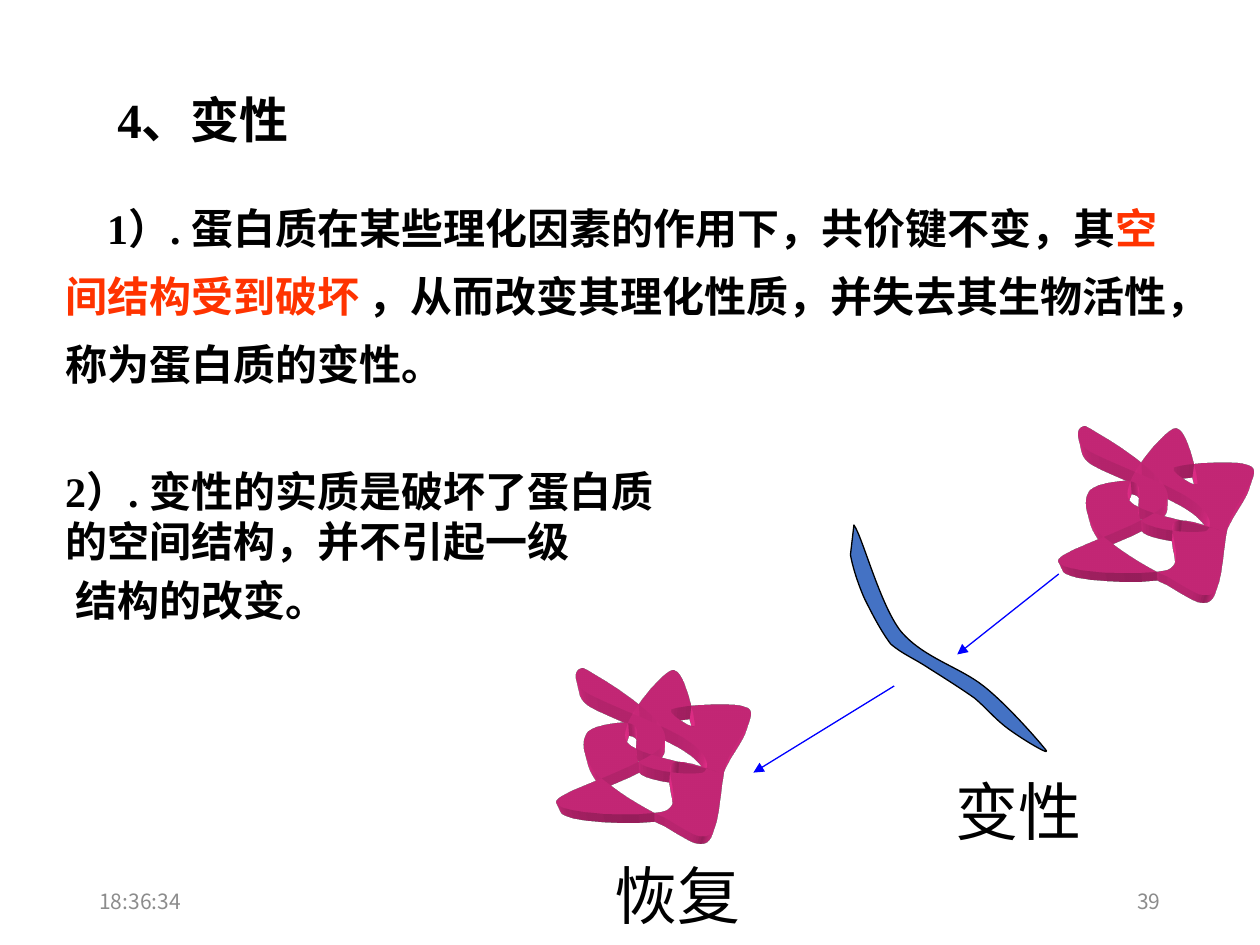
"""Build the slide on protein denaturation with two folded proteins and one unfolded strand."""
from lxml.etree import SubElement
from pptx import Presentation
from pptx.dml.color import RGBColor as RGB
from pptx.enum.shapes import MSO_CONNECTOR as CONN
from pptx.enum.text import MSO_ANCHOR as ANCHOR, MSO_AUTO_SIZE as FIT, PP_ALIGN as ALIGN
from pptx.oxml.ns import qn
from pptx.util import Pt

COLORS = {"text": "000000", "stress": "FF3300", "footer": "8C8C8C",
          "protein": "FF3399", "strand": "4472C4", "arrow": "0000FF"}
SERIF, SANS = "Times New Roman", "Noto Sans CJK SC"

PROTEIN = [(18, 5),
           (25, 9, 65, 32, 62, 45), (59, 58, 0, 73, 0, 80), (0, 87, 50, 89, 62, 85),
           (73, 81, 61, 62, 66, 58), (71, 54, 97, 65, 92, 63), (88, 60, 44, 54, 40, 45),
           (35, 35, 60, 6, 66, 5), (73, 3, 79, 32, 79, 36), (79, 40, 61, 28, 66, 27),
           (71, 25, 105, 22, 110, 27), (115, 32, 101, 46, 97, 58), (93, 70, 94, 93, 88, 98),
           (82, 103, 73, 95, 62, 89), (50, 84, 30, 71, 22, 63), (15, 54, 14, 45, 18, 40),
           (22, 36, 39, 33, 44, 36), (49, 39, 42, 53, 48, 58), (55, 63, 79, 65, 84, 63),
           (88, 60, 86, 52, 75, 45), (64, 37, 28, 24, 18, 18), (7, 12, 11, 0, 18, 5)]
STRAND = [(0, 17),
          (1, 23, 4, 33, 8, 42), (12, 50, 17, 60, 23, 68), (30, 74, 36, 76, 45, 82),
          (53, 87, 64, 94, 71, 99), (78, 105, 81, 109, 87, 114), (94, 120, 114, 132, 112, 129),
          (109, 125, 90, 103, 76, 92), (62, 81, 42, 76, 29, 61), (17, 46, 7, 7, 2, 0)]


def color(name):
    """Return the named colour."""
    return RGB.from_string(COLORS[name])


def add_xml(parent, tag, **attributes):
    """Append a drawing element with attributes."""
    return SubElement(parent, qn(f"a:{tag}"), attributes)


def format_run(r, size, font, fill="text", bold=False):
    """Set size, typefaces, colour and weight of a run."""
    r.font.size, r.font.name, r.font.bold = Pt(size), font, bold
    r.font.color.rgb = color(fill)
    add_xml(r.font._element, "ea", typeface=SANS)


def setup_frame(sp, box, anchor, wrap=True):
    """Place a text shape and set up its frame."""
    sp.left, sp.top, sp.width, sp.height = map(Pt, box)
    tf = sp.text_frame
    tf.auto_size, tf.word_wrap, tf.vertical_anchor = FIT.NONE, wrap, anchor
    return tf


def add_title(s, text, box):
    """Fill the title placeholder."""
    tf = setup_frame(s.shapes.title, box, ANCHOR.TOP)
    tf.text = text
    p = tf.paragraphs[0]
    p.alignment, p.line_spacing = ALIGN.LEFT, Pt(32.2)
    format_run(p.runs[0], 28, SERIF, bold=True)


def fill_body(sp, box, paragraphs, spacing):
    """Fill a body placeholder with (indent, space before, runs) paragraphs."""
    tf = setup_frame(sp, box, ANCHOR.MIDDLE)
    for i, (indent, before, runs) in enumerate(paragraphs):
        p = tf.add_paragraph() if i else tf.paragraphs[0]
        p.line_spacing, p.space_before = Pt(spacing), Pt(before)
        pPr = p._p.get_or_add_pPr()
        pPr.set("marL", "0")
        pPr.set("indent", str(Pt(indent)))
        add_xml(pPr, "buNone")
        for text, font, fill in runs:
            r = p.add_run()
            r.text = text
            format_run(r, 24, font, fill, True)


def add_label(s, text, box, size, fill="text", align=ALIGN.CENTER, anchor=ANCHOR.TOP, wrap=False):
    """Add a one-line text box."""
    tf = setup_frame(s.shapes.add_textbox(0, 0, 0, 0), box, anchor, wrap)
    tf.text = text
    tf.paragraphs[0].alignment = align
    format_run(tf.paragraphs[0].runs[0], size, SANS, fill)


def add_outline(s, outline, x, y, fill):
    """Draw a closed outline of cubic curves at a position."""
    builder = s.shapes.build_freeform(*map(Pt, outline[0]))
    builder.add_line_segments([(Pt(c[i]), Pt(c[i + 1])) for c in outline[1:] for i in (0, 2, 4)])
    sp = builder.convert_to_shape(Pt(x), Pt(y))
    lines = list(sp._element.iter(qn("a:lnTo")))
    for i in range(0, len(lines), 3):
        curve = add_xml(lines[i].getparent(), "cubicBezTo")
        for line in lines[i:i + 3]:
            curve.append(line[0])
            line.getparent().remove(line)
    add_xml(curve.getparent(), "close")
    sp.shadow.inherit = False
    sp.fill.solid()
    sp.fill.fore_color.rgb = color(fill)
    return sp


def add_protein(s, x, y):
    """Draw a folded protein with depth."""
    sp = add_outline(s, PROTEIN, x, y, "protein")
    sp.line.fill.background()
    spPr = sp._element.spPr
    scene = add_xml(spPr, "scene3d")
    add_xml(scene, "camera", prst="legacyPerspectiveBottom")
    add_xml(scene, "lightRig", rig="legacyFlat3", dir="b")
    body = add_xml(spPr, "sp3d", extrusionH="430200", prstMaterial="legacyMatte")
    add_xml(add_xml(body, "extrusionClr"), "srgbClr", val=COLORS["protein"])


def add_strand(s, x, y):
    """Draw the unfolded strand."""
    sp = add_outline(s, STRAND, x, y, "strand")
    sp.line.color.rgb, sp.line.width = color("text"), Pt(0.75)


def add_arrow(s, *ends):
    """Draw an arrow between two points."""
    c = s.shapes.add_connector(CONN.STRAIGHT, *map(Pt, ends))
    c.line.color.rgb, c.line.width = color("arrow"), Pt(0.75)
    add_xml(c.line._get_or_add_ln(), "tailEnd", type="triangle")
    add_xml(c._element.spPr, "effectLst")


def main():
    """Build and save the slide."""
    prs = Presentation()
    prs.slide_width, prs.slide_height = Pt(720), Pt(540)
    s = prs.slides.add_slide(prs.slide_layouts[3])
    add_label(s, "18:36:34", (49.7, 500.5, 162, 29), 12, "footer", ALIGN.LEFT, ANCHOR.MIDDLE, True)
    add_label(s, "39", (508.3, 500.5, 162, 29), 12, "footer", ALIGN.RIGHT, ANCHOR.MIDDLE, True)
    add_title(s, "4、变性", (59.8, 49, 130, 41))
    fill_body(s.placeholders[1], (30, 102, 648, 124), [
        (24, 0, [("1）. 蛋白质在某些理化因素的作用下，", SERIF, "text"),
                 ("共价键不变，", SANS, "text"),
                 ("其", SERIF, "text"),
                 ("空间结构受到破坏", SERIF, "stress"),
                 (" ，从而改变其理化性质，并失去其生物活性，称为蛋白质的变性。", SERIF, "text")])], 38.8)
    fill_body(s.placeholders[2], (30, 261.5, 352, 101), [
        (0, 0, [("2）. 变性的实质是破坏了蛋白质", SERIF, "text")]),
        (0, 1.2, [("的空间结构，并不引起一级", SERIF, "text")]),
        (6, 6, [("结构的改变。", SERIF, "text")])], 27.6)
    add_protein(s, 605, 240)
    add_strand(s, 486, 300)
    add_arrow(s, 605, 328, 547, 374)
    add_label(s, "变性", (558, 438, 48, 20), 36)
    add_arrow(s, 511, 392, 430.5, 441.5)
    add_protein(s, 318, 378)
    add_label(s, "恢复", (360, 486, 54, 26), 36)
    prs.save("out.pptx")


if __name__ == "__main__":
    main()
